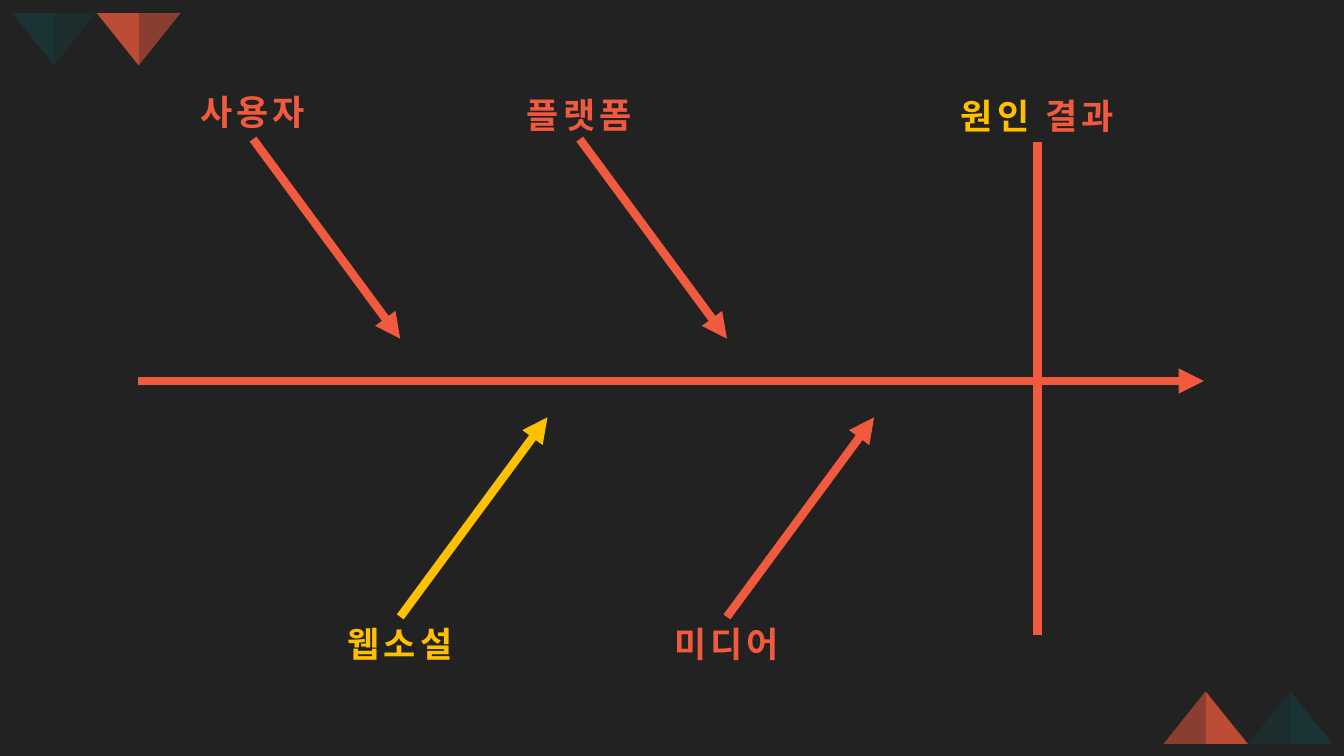
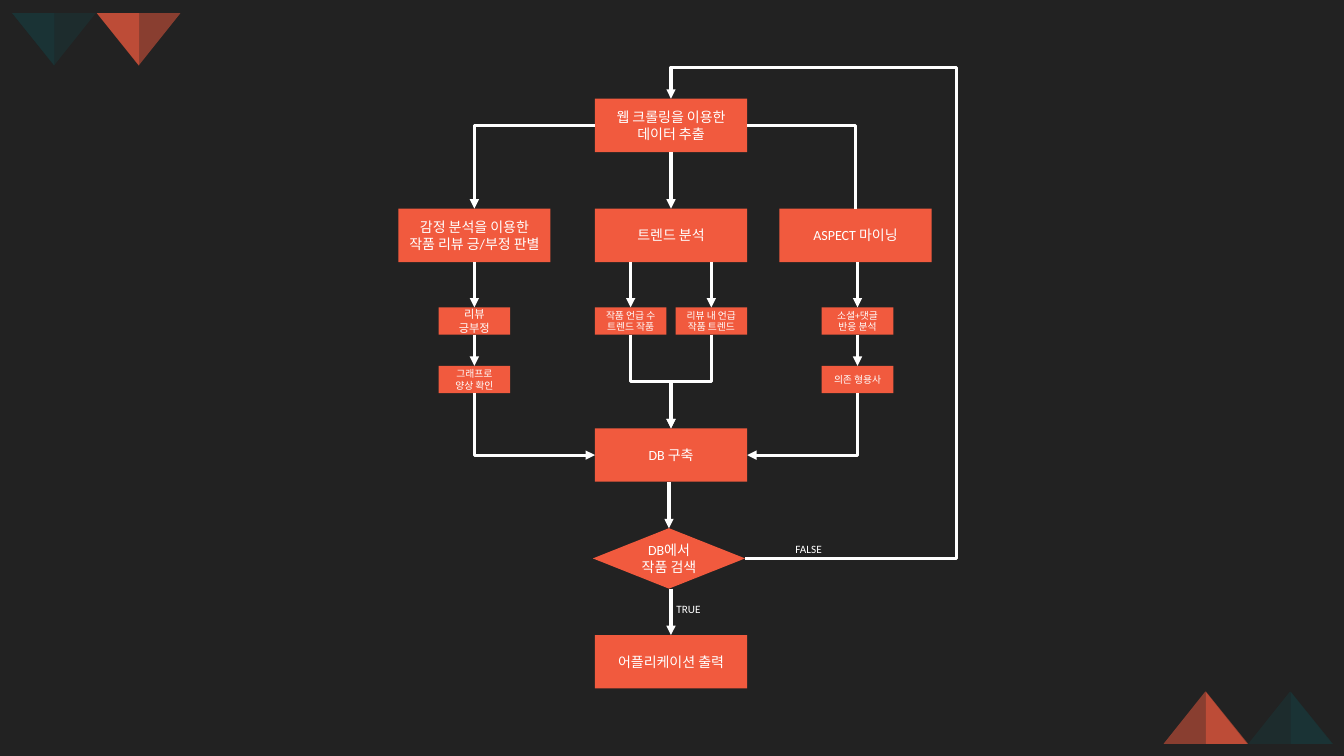
from lxml import etree
from pptx import Presentation
from pptx.dml.color import RGBColor
from pptx.enum.shapes import MSO_CONNECTOR, MSO_SHAPE
from pptx.enum.text import MSO_ANCHOR, PP_ALIGN
from pptx.oxml.ns import qn
from pptx.util import Inches, Pt

STRAIGHT, ELBOW = MSO_CONNECTOR.STRAIGHT, MSO_CONNECTOR.ELBOW
RECTANGLE, DECISION = MSO_SHAPE.RECTANGLE, MSO_SHAPE.FLOWCHART_DECISION
TRIANGLE, RIGHT_TRIANGLE = MSO_SHAPE.ISOSCELES_TRIANGLE, MSO_SHAPE.RIGHT_TRIANGLE
MIDDLE, CENTER = MSO_ANCHOR.MIDDLE, PP_ALIGN.CENTER
TOP, LEFT, BOTTOM, RIGHT = range(4)  # connection sites

COLORS = {
    "background": "222222",
    "coral": "F15A3E",
    "teal": "193739",
    "yellow": "FFC000",
    "white": "FFFFFF",
}
RGB = {name: RGBColor.from_string(value) for name, value in COLORS.items()}


def style_line(connector, color, width, arrow=True):
    connector.line.color.rgb = RGB[color]
    connector.line.width = Pt(width)
    properties = connector._element.spPr
    if arrow:
        etree.SubElement(properties.find(qn("a:ln")), qn("a:tailEnd"), type="triangle")
    etree.SubElement(properties, qn("a:effectLst"))


def write(shape, text, size, font_name, align=CENTER):
    """Put white text into a shape, one paragraph per line."""
    shape.text_frame.text = text
    for paragraph in shape.text_frame.paragraphs:
        paragraph.alignment = align
        for run in paragraph.runs:
            run.font.size = Pt(size)
            run.font.name = font_name
            run.font.color.rgb = RGB["white"]


presentation = Presentation()
presentation.slide_width = Inches(13.33)
presentation.slide_height = Inches(7.5)
blank_layout = presentation.slide_layouts[6]
fishbone_slide = presentation.slides.add_slide(blank_layout)
flow_slide = presentation.slides.add_slide(blank_layout)

# Master: dark background and corner triangles
master = presentation.slide_master
master.background.fill.solid()
master.background.fill.fore_color.rgb = RGB["background"]

corners = fishbone_slide.shapes.add_group_shape()
for left, top, color, shade, rotation in [
    (0.96, 0.13, "coral", 50, 180),
    (0.12, 0.13, "teal", 70, 180),
    (11.54, 6.86, "coral", 50, 0),
    (12.38, 6.86, "teal", 70, 0),
]:
    half_left = left if rotation else left + 0.42
    for kind, x, width, opacity in [
        (TRIANGLE, left, 0.83, 50),
        (RIGHT_TRIANGLE, half_left, 0.42, shade),
    ]:
        triangle = corners.shapes.add_shape(
            kind, Inches(x), Inches(top), Inches(width), Inches(0.52))
        triangle.rotation = rotation
        triangle.shadow.inherit = False
        triangle.line.fill.background()
        triangle.fill.solid()
        triangle.fill.fore_color.rgb = RGB[color]
        rgb_element = triangle._element.spPr.find(".//" + qn("a:srgbClr"))
        etree.SubElement(rgb_element, qn("a:alpha"), val=str(opacity * 1000))

# Moving the group to the master needs ids that are free there
for number, properties in enumerate(corners._element.iter(qn("p:cNvPr")), 100):
    properties.set("id", str(number))
master.shapes._spTree.append(corners._element)

# Slide 1: fishbone diagram
for x1, y1, x2, y2, arrow in [
    (1.37, 3.78, 11.94, 3.78, True),
    (10.29, 1.41, 10.29, 6.3, False),
]:
    axis = fishbone_slide.shapes.add_connector(
        STRAIGHT, Inches(x1), Inches(y1), Inches(x2), Inches(y2))
    style_line(axis, "coral", 6, arrow)

labels = [([("원인", "yellow"), (" 결과", "coral")], 9.31, 0.89, 1.96)]
for text, color, x, start, end, label_top in [
    ("사용자", "coral", 2.51, 1.38, 3.36, 0.85),
    ("플랫폼", "coral", 5.75, 1.38, 3.36, 0.88),
    ("웹소설", "yellow", 3.97, 6.12, 4.14, 6.12),
    ("미디어", "coral", 7.21, 6.12, 4.14, 6.12),
]:
    rib = fishbone_slide.shapes.add_connector(
        STRAIGHT, Inches(x), Inches(start), Inches(x + 1.46), Inches(end))
    style_line(rib, color, 6)
    labels.append(([(text, color)], x - 0.86, label_top, 1.71))

for parts, left, top, width in labels:
    label = fishbone_slide.shapes.add_textbox(
        Inches(left), Inches(top), Inches(width), Inches(0.52))
    label.text_frame.word_wrap = True
    label.text_frame.vertical_anchor = MIDDLE
    paragraph = label.text_frame.paragraphs[0]
    paragraph.alignment = CENTER
    for text, color in parts:
        run = paragraph.add_run()
        run.text = text
        run.font.size = Pt(25)
        run.font.bold = True
        run.font.name = "Roboto"
        run.font.color.rgb = RGB[color]
        run.font._element.set("spc", "300")

# Slide 2: flow chart
LARGE, SMALL, DIAMOND = (1.51, 0.53), (0.71, 0.27), (1.51, 0.6)
boxes = {}
for name, text, left, top, (width, height), size in [
    ("crawl", "웹 크롤링을 이용한\n데이터 추출", 5.9, 0.98, LARGE, 10),
    ("sentiment", "감정 분석을 이용한\n작품 리뷰 긍/부정 판별", 3.95, 2.07, LARGE, 10),
    ("trend", "트렌드 분석", 5.9, 2.07, LARGE, 10),
    ("aspect", "ASPECT 마이닝", 7.73, 2.07, LARGE, 10),
    ("review", "리뷰 긍부정", 4.35, 3.05, SMALL, 8),
    ("mentions", "작품 언급 수\n트렌드 작품", 5.9, 3.05, SMALL, 7),
    ("review_trend", "리뷰 내 언급 작품 트렌드", 6.7, 3.05, SMALL, 7),
    ("social", "소셜+댓글\n반응 분석", 8.15, 3.05, SMALL, 7),
    ("graph", "그래프로\n양상 확인", 4.35, 3.63, SMALL, 7),
    ("adjective", "의존 형용사", 8.15, 3.63, SMALL, 7),
    ("database", "DB 구축", 5.9, 4.25, LARGE, 10),
    ("search", "DB에서 작품 검색", 5.88, 5.24, DIAMOND, 10),
    ("output", "어플리케이션 출력", 5.9, 6.3, LARGE, 10),
]:
    box = flow_slide.shapes.add_shape(
        DECISION if name == "search" else RECTANGLE,
        Inches(left), Inches(top), Inches(width), Inches(height))
    box.shadow.inherit = False
    box.fill.solid()
    box.fill.fore_color.rgb = RGB["coral"]
    box.line.fill.background()
    box.text_frame.word_wrap = True
    box.text_frame.vertical_anchor = MIDDLE
    write(box, text, size, "Calibri")
    boxes[name] = box

for source_name, target_name in [
    ("crawl", "trend"),
    ("sentiment", "review"),
    ("review", "graph"),
    ("trend", "mentions"),
    ("trend", "review_trend"),
    ("aspect", "social"),
    ("social", "adjective"),
    ("database", "search"),
    ("search", "output"),
]:
    source, target = boxes[source_name], boxes[target_name]
    x = target.left + target.width // 2
    arrow = flow_slide.shapes.add_connector(
        STRAIGHT, x, source.top + source.height, x, target.top)
    style_line(arrow, "white", 2.25)

for source_name, start_site, target_name, end_site, preset in [
    ("crawl", LEFT, "sentiment", TOP, "bentConnector2"),
    ("crawl", RIGHT, "aspect", TOP, "bentConnector2"),
    ("graph", BOTTOM, "database", LEFT, "bentConnector2"),
    ("adjective", BOTTOM, "database", RIGHT, "bentConnector2"),
    ("mentions", BOTTOM, "database", TOP, "bentConnector3"),
    ("review_trend", BOTTOM, "database", TOP, "bentConnector3"),
    ("search", RIGHT, "crawl", TOP, "bentConnector4"),
]:
    elbow = flow_slide.shapes.add_connector(ELBOW, 0, 0, 0, 0)
    elbow.begin_connect(boxes[source_name], start_site)
    elbow.end_connect(boxes[target_name], end_site)
    style_line(elbow, "white", 2.25, arrow=target_name != "aspect")
    geometry = elbow._element.spPr.find(qn("a:prstGeom"))
    geometry.set("prst", preset)

    if start_site == BOTTOM:
        # A path that starts downwards is a sideways path turned by a quarter
        goes_right = elbow.end_x > elbow.begin_x
        left, top, width, height = elbow.left, elbow.top, elbow.width, elbow.height
        elbow.left = left + (width - height) // 2
        elbow.top = top + (height - width) // 2
        elbow.width, elbow.height = height, width
        transform = elbow._element.spPr.find(qn("a:xfrm"))
        transform.set("rot", str((270 if goes_right else 90) * 60000))
        transform.set("flipH", "1" if goes_right else "0")

    if preset == "bentConnector4":
        bends = [
            (elbow.begin_x - Inches(9.49)) / elbow.width,
            (elbow.begin_y - Inches(0.67)) / elbow.height,
        ]
        guides = geometry.find(qn("a:avLst"))
        for number, share in enumerate(bends, 1):
            etree.SubElement(guides, qn("a:gd"), name=f"adj{number}",
                             fmla=f"val {round(share * 100000)}")

for text, left, top, width in [("TRUE", 6.61, 5.93, 0.47), ("FALSE", 7.79, 5.33, 0.52)]:
    answer = flow_slide.shapes.add_textbox(
        Inches(left), Inches(top), Inches(width), Inches(0.24))
    answer.text_frame.word_wrap = False
    write(answer, text, 8, "Calibri", PP_ALIGN.LEFT)

presentation.save("out.pptx")
